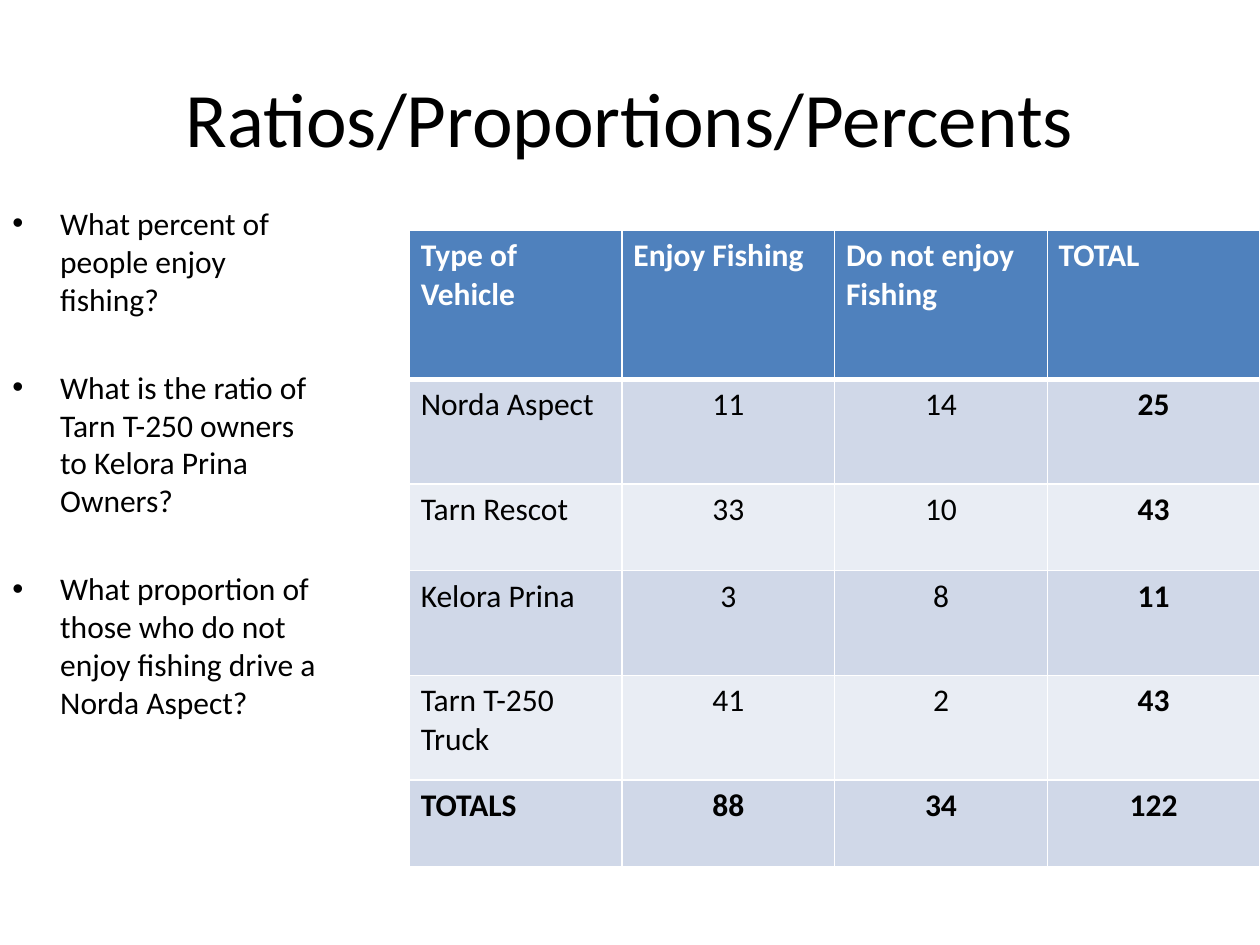
"""Build a slide with questions beside a two-way table of vehicles and fishing."""
from lxml.etree import SubElement
from pptx import Presentation
from pptx.dml.color import RGBColor
from pptx.enum.text import MSO_ANCHOR, PP_ALIGN
from pptx.oxml.ns import qn
from pptx.util import Inches, Pt

FONT = "Calibri"
BLACK = RGBColor(0x00, 0x00, 0x00)
WHITE = RGBColor(0xFF, 0xFF, 0xFF)
HEADER_BLUE = RGBColor(0x4F, 0x81, 0xBD)
BAND_DARK = RGBColor(0xD0, 0xD8, 0xE8)
BAND_LIGHT = RGBColor(0xE9, 0xED, 0xF4)

QUESTIONS = [
    "What percent of people enjoy fishing?",
    "What is the ratio of Tarn T-250 owners to Kelora Prina Owners?",
    "What proportion of those who do not enjoy fishing drive a Norda Aspect?",
]
ROWS = [
    ("Type of Vehicle", "Enjoy Fishing", "Do not enjoy Fishing", "TOTAL"),
    ("Norda Aspect", 11, 14, 25),
    ("Tarn Rescot", 33, 10, 43),
    ("Kelora Prina", 3, 8, 11),
    ("Tarn T-250 Truck", 41, 2, 43),
    ("TOTALS", 88, 34, 122),
]
ROW_HEIGHTS = [1.18, 0.83, 0.69, 0.83, 0.83, 0.69]


def style_paragraph(paragraph, size, color=BLACK, bold=False, alignment=PP_ALIGN.LEFT):
    paragraph.alignment = alignment
    paragraph.font.name = FONT
    paragraph.font.size = Pt(size)
    paragraph.font.bold = bold
    paragraph.font.color.rgb = color


def add_text_frame(slide, left, top, width, height):
    shape = slide.shapes.add_textbox(Inches(left), Inches(top), Inches(width), Inches(height))
    shape.text_frame.word_wrap = True
    return shape.text_frame


def add_title(slide, text):
    frame = add_text_frame(slide, 0.5, 0.3, 9, 1.25)
    frame.vertical_anchor = MSO_ANCHOR.MIDDLE
    frame.text = text
    style_paragraph(frame.paragraphs[0], 44, alignment=PP_ALIGN.CENTER)


def add_bullet(paragraph):
    properties = paragraph._p.get_or_add_pPr()
    properties.set("marL", str(Inches(0.38)))
    properties.set("indent", str(-Inches(0.38)))
    SubElement(properties, qn("a:buFont")).set("typeface", "Arial")
    SubElement(properties, qn("a:buChar")).set("char", "•")


def add_questions(slide, questions):
    frame = add_text_frame(slide, 0, 1.57, 2.67, 4.68)
    frame.text = "\n".join(questions)
    for index, paragraph in enumerate(frame.paragraphs):
        style_paragraph(paragraph, 18)
        if index:
            paragraph.space_before = Pt(28.8)
        add_bullet(paragraph)


def add_borders(cell, top, bottom):
    properties = cell._tc.get_or_add_tcPr()
    for side, width in (("L", 1), ("R", 1), ("T", top), ("B", bottom)):
        line = SubElement(properties, qn(f"a:ln{side}"))
        line.set("w", str(Pt(width)))
        fill = SubElement(line, qn("a:solidFill"))
        SubElement(fill, qn("a:srgbClr")).set("val", str(WHITE))


def fill_cell(cell, value, row, column):
    header = row == 0
    total = row == len(ROWS) - 1 or column == len(ROWS[0]) - 1
    add_borders(cell, 3 if row == 1 else 1, 3 if header else 1)
    cell.fill.solid()
    cell.fill.fore_color.rgb = HEADER_BLUE if header else (BAND_LIGHT, BAND_DARK)[row % 2]
    cell.margin_left = cell.margin_right = Inches(0.09)
    cell.margin_top = cell.margin_bottom = Inches(0.05)
    cell.text = str(value)
    style_paragraph(
        cell.text_frame.paragraphs[0],
        18,
        WHITE if header else BLACK,
        header or total,
        PP_ALIGN.LEFT if header or column == 0 else PP_ALIGN.CENTER,
    )


def add_vehicle_table(slide, rows):
    frame = slide.shapes.add_table(
        len(rows), len(rows[0]), Inches(3.25), Inches(1.83), Inches(6.75), Inches(sum(ROW_HEIGHTS))
    )
    table = frame.table
    for row, values in enumerate(rows):
        table.rows[row].height = Inches(ROW_HEIGHTS[row])
        for column, value in enumerate(values):
            fill_cell(table.cell(row, column), value, row, column)


def main():
    presentation = Presentation()
    presentation.slide_width = Inches(10)
    presentation.slide_height = Inches(7.5)
    slide = presentation.slides.add_slide(presentation.slide_layouts[6])
    add_title(slide, "Ratios/Proportions/Percents")
    add_vehicle_table(slide, ROWS)
    add_questions(slide, QUESTIONS)
    presentation.save("out.pptx")


if __name__ == "__main__":
    main()
